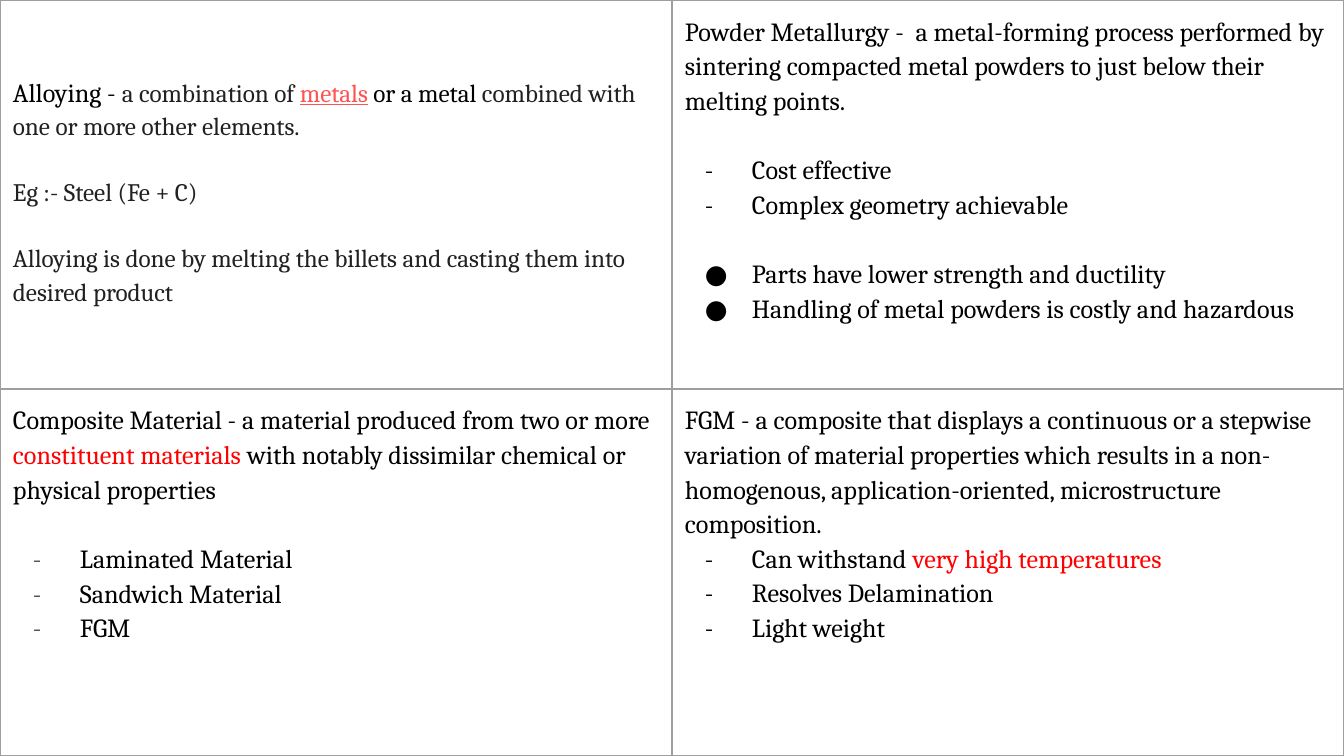
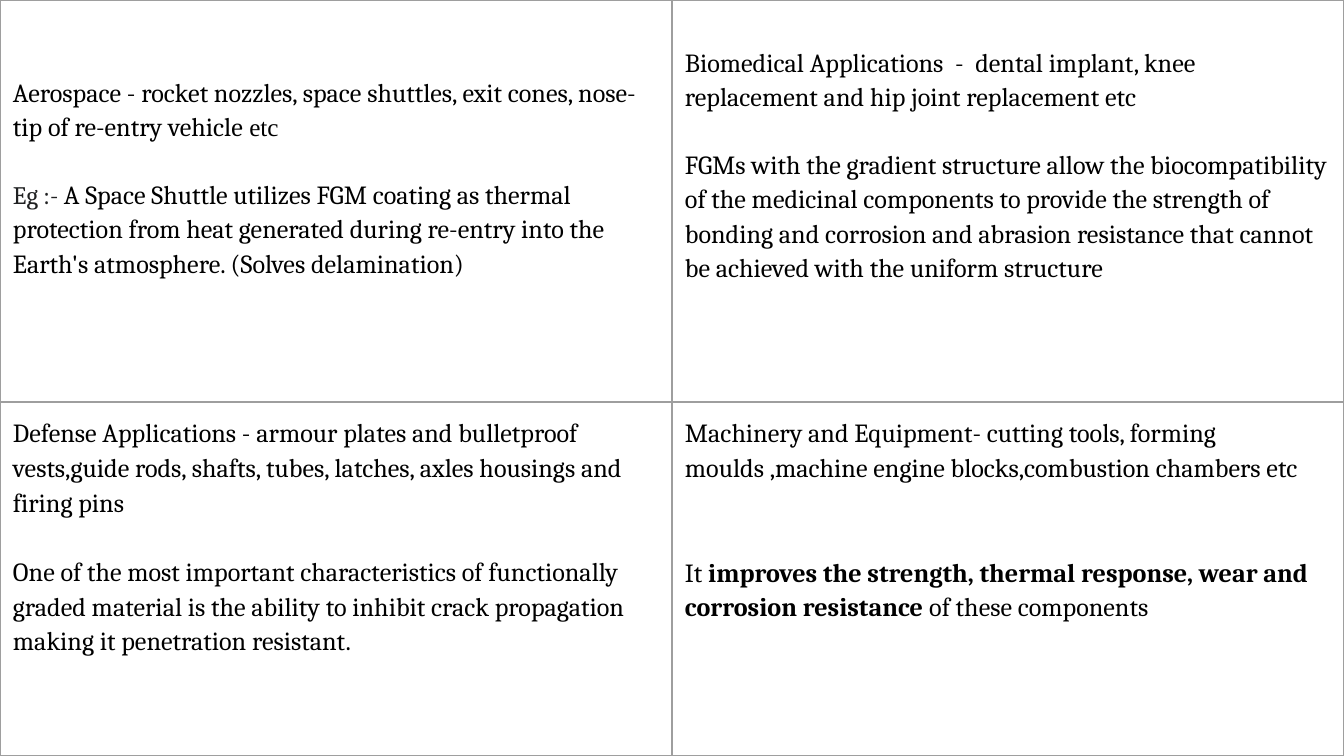
"""Build two slides of four-cell tables on materials and uses of graded composites."""
import lxml.etree
import pptx
import pptx.dml.color
import pptx.oxml.ns
import pptx.util

COLORS = {"black": "000000", "ink": "202122", "link": "FF5252", "red": "FF0000",
          "slate": "444444", "grey": "4D5156", "rule": "9E9E9E"}
BASE = {"name": "Cambria", "size": pptx.util.Pt(14), "color": "black"}
SMALL = BASE | {"size": pptx.util.Pt(13.5)}
STYLES = {
    "plain": BASE,
    "red": BASE | {"color": "red"},
    "bold": BASE | {"bold": True},
    "roman": SMALL | {"name": "Times New Roman"},
    "small": SMALL,
    "ink": SMALL | {"color": "ink"},
    "link": SMALL | {"color": "link", "underline": True},
    "roboto": {"name": "Roboto", "size": pptx.util.Pt(12), "color": "slate"},
}
BULLETS = {"dash": ("-", "black"), "grey dash": ("-", "grey"), "dot": ("●", "black")}

WIDTH, HEIGHT = 1344, 756
INSET, INDENT, HANG = 13, 67, 47
LINE, SMALL_LINE = 35, 33
LINE_SPACING = 1.15


def prose(*spans, gap=0):
    """Describe an unbulleted paragraph with the gap above it."""
    return spans, gap, None


def bullets(kind, *items, gap=0):
    """Describe a list whose first item has a gap above it."""
    return [(item if isinstance(item, list) else [(item, "plain")],
             0 if index else gap, kind) for index, item in enumerate(items)]


ALLOYING = [
    prose(("Alloying - ", "plain"), ("a combination of ", "ink"), ("metals", "link"),
          (" or a metal", "small"), (" combined with one or more other elements.", "ink")),
    prose(("Eg :- Steel (Fe + C)", "ink"), gap=SMALL_LINE),
    prose(("Alloying is done by melting the billets and casting them into desired product",
           "ink"), gap=SMALL_LINE),
]
POWDER = [
    prose(("Powder Metallurgy - ", "plain"), (" ", "roboto"),
          ("a metal-forming process performed by sintering compacted metal powders "
           "to just below their melting points.", "plain")),
    *bullets("dash", "Cost effective", "Complex geometry achievable", gap=LINE),
    *bullets("dot", "Parts have lower strength and ductility",
             "Handling of metal powders is costly and hazardous", gap=LINE),
]
COMPOSITE = [
    prose(("Composite Material -", "plain"), (" ", "small"),
          ("a material produced from two or more ", "plain"),
          ("constituent materials", "red"),
          (" with notably dissimilar chemical or physical properties", "plain")),
    *bullets("grey dash", "Laminated Material", "Sandwich Material", "FGM", gap=LINE),
]
GRADED = [
    prose(("FGM - a composite that displays a continuous or a stepwise variation of "
           "material properties which results in a non-homogenous, application-oriented, "
           "microstructure composition.", "plain")),
    *bullets("dash", [("Can withstand ", "plain"), ("very high temperatures", "red")],
             "Resolves Delamination", "Light weight"),
]
AEROSPACE = [
    prose(("Aerospace - rocket nozzles, space shuttles, exit cones, nose-tip of "
           "re-entry vehicle", "plain"), (" etc", "roman")),
    prose(("Eg :- ", "ink"),
          ("A Space Shuttle utilizes FGM coating as thermal protection from heat generated "
           "during re-entry into the Earth's atmosphere. (Solves delamination)", "plain"),
          gap=SMALL_LINE),
]
BIOMEDICAL = [
    prose(("Biomedical Applications  - ", "plain"), (" ", "roboto"),
          ("dental implant, knee replacement and hip joint replacement etc", "plain")),
    prose(("FGMs with the gradient structure allow the biocompatibility of the medicinal "
           "components to provide the strength of bonding and corrosion and abrasion "
           "resistance that cannot be achieved with the uniform structure", "plain"),
          gap=SMALL_LINE),
]
DEFENSE = [
    prose(("Defense Applications -", "plain"), (" ", "small"),
          ("armour plates and bulletproof vests,guide rods, shafts, tubes, latches, "
           "axles housings and firing pins", "plain")),
    prose(("One of the most important characteristics of functionally graded material is "
           "the ability to inhibit crack propagation making it penetration resistant.",
           "plain"), gap=LINE),
]
MACHINERY = [
    prose(("Machinery and Equipment- cutting tools, forming moulds ,machine engine "
           "blocks,combustion chambers etc", "plain")),
    prose(("It ", "plain"),
          ("improves the strength, thermal response, wear and corrosion resistance", "bold"),
          (" of these components", "plain"), gap=2 * LINE),
]
SLIDES = [
    {"top row": 389, "drops": [[61, 0], [0, 0]],
     "cells": [[ALLOYING, POWDER], [COMPOSITE, GRADED]]},
    {"top row": 402, "drops": [[61, 31], [0, 0]],
     "cells": [[AEROSPACE, BIOMEDICAL], [DEFENSE, MACHINERY]]},
]


def px(count):
    """Turn pixels into EMU."""
    return pptx.util.Emu(round(count * 914400 / 134.4))


def add_xml(parent, tag, **attributes):
    """Append a drawing element to its parent."""
    return lxml.etree.SubElement(parent, pptx.oxml.ns.qn(tag), attributes)


def set_borders(cell):
    """Rule all four sides of a cell."""
    properties = cell._tc.get_or_add_tcPr()
    for index, side in enumerate("LRTB"):
        line = lxml.etree.Element(pptx.oxml.ns.qn(f"a:ln{side}"),
                                  {"w": str(pptx.util.Pt(0.75))})
        add_xml(add_xml(line, "a:solidFill"), "a:srgbClr", val=COLORS["rule"])
        properties.insert(index, line)


def set_bullet(para, kind):
    """Give a paragraph its hanging bullet."""
    mark, color = BULLETS[kind]
    properties = para._p.get_or_add_pPr()
    properties.set("marL", str(px(INDENT)))
    properties.set("indent", str(px(-HANG)))
    add_xml(add_xml(properties, "a:buClr"), "a:srgbClr", val=COLORS[color])
    add_xml(properties, "a:buFont", typeface=BASE["name"])
    add_xml(properties, "a:buChar", char=mark)


def add_span(para, text, style):
    """Add one formatted run to a paragraph."""
    span = para.add_run()
    span.text = text
    for name, value in STYLES[style].items():
        if name == "color":
            span.font.color.rgb = pptx.dml.color.RGBColor.from_string(COLORS[value])
        else:
            setattr(span.font, name, value)


def fill_cell(cell, content, drop):
    """Format a cell and write its paragraphs."""
    margins = {"margin_left": INSET, "margin_right": INSET,
               "margin_top": INSET + drop, "margin_bottom": INSET}
    for name, value in margins.items():
        setattr(cell, name, px(value))
    cell.fill.background()
    set_borders(cell)
    for index, (spans, gap, bullet) in enumerate(content):
        para = cell.text_frame.add_paragraph() if index else cell.text_frame.paragraphs[0]
        para.line_spacing = LINE_SPACING
        para.space_before = px(gap)
        if bullet:
            set_bullet(para, bullet)
        for text, style in spans:
            add_span(para, text, style)


def add_page(deck, content):
    """Add a slide filled by its two-by-two table."""
    page = deck.slides.add_slide(deck.slide_layouts[6])
    table = page.shapes.add_table(2, 2, 0, 0, px(WIDTH), px(HEIGHT)).table
    table.first_row = table.horz_banding = False
    for column in table.columns:
        column.width = px(WIDTH / 2)
    heights = [content["top row"], HEIGHT - content["top row"]]
    for row, height, cells, drops in zip(table.rows, heights, content["cells"],
                                         content["drops"]):
        row.height = px(height)
        for cell, paragraphs, drop in zip(row.cells, cells, drops):
            fill_cell(cell, paragraphs, drop)


def main():
    """Build and save the deck."""
    deck = pptx.Presentation()
    deck.slide_width, deck.slide_height = px(WIDTH), px(HEIGHT)
    for content in SLIDES:
        add_page(deck, content)
    deck.save("out.pptx")


if __name__ == "__main__":
    main()
